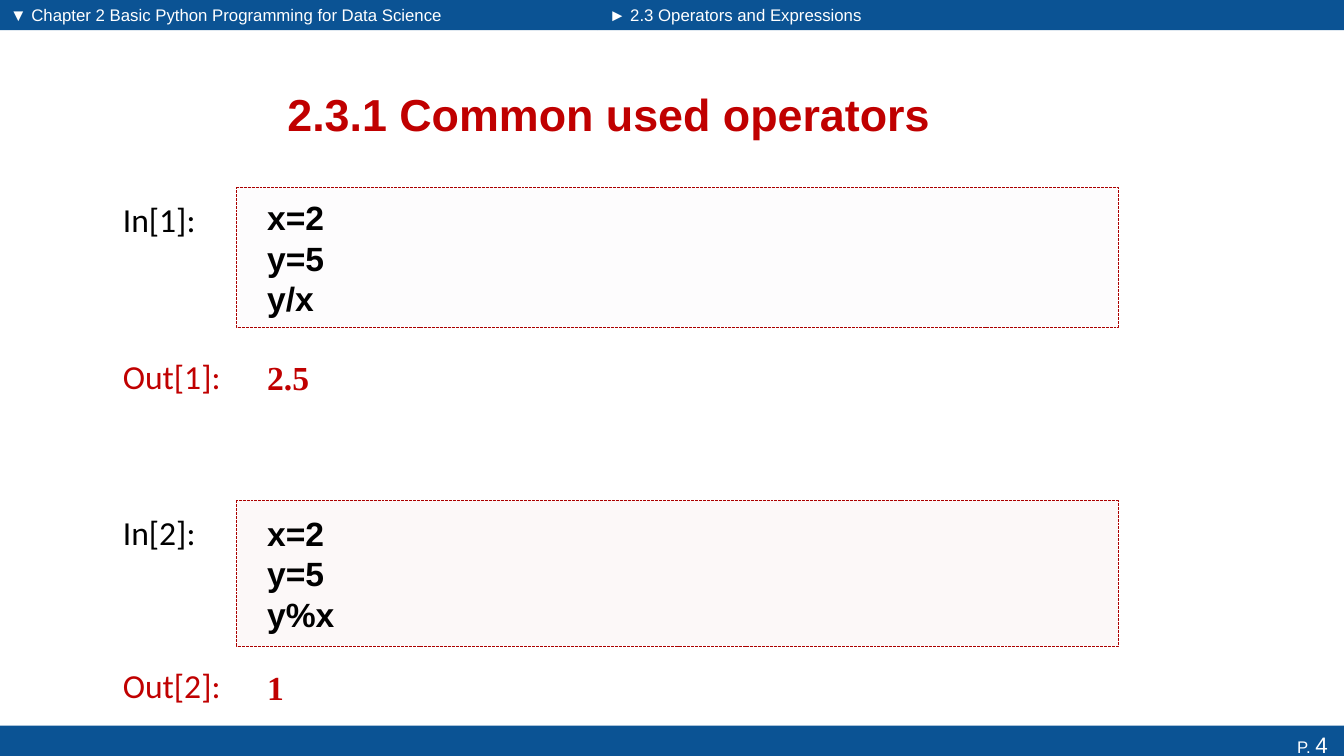
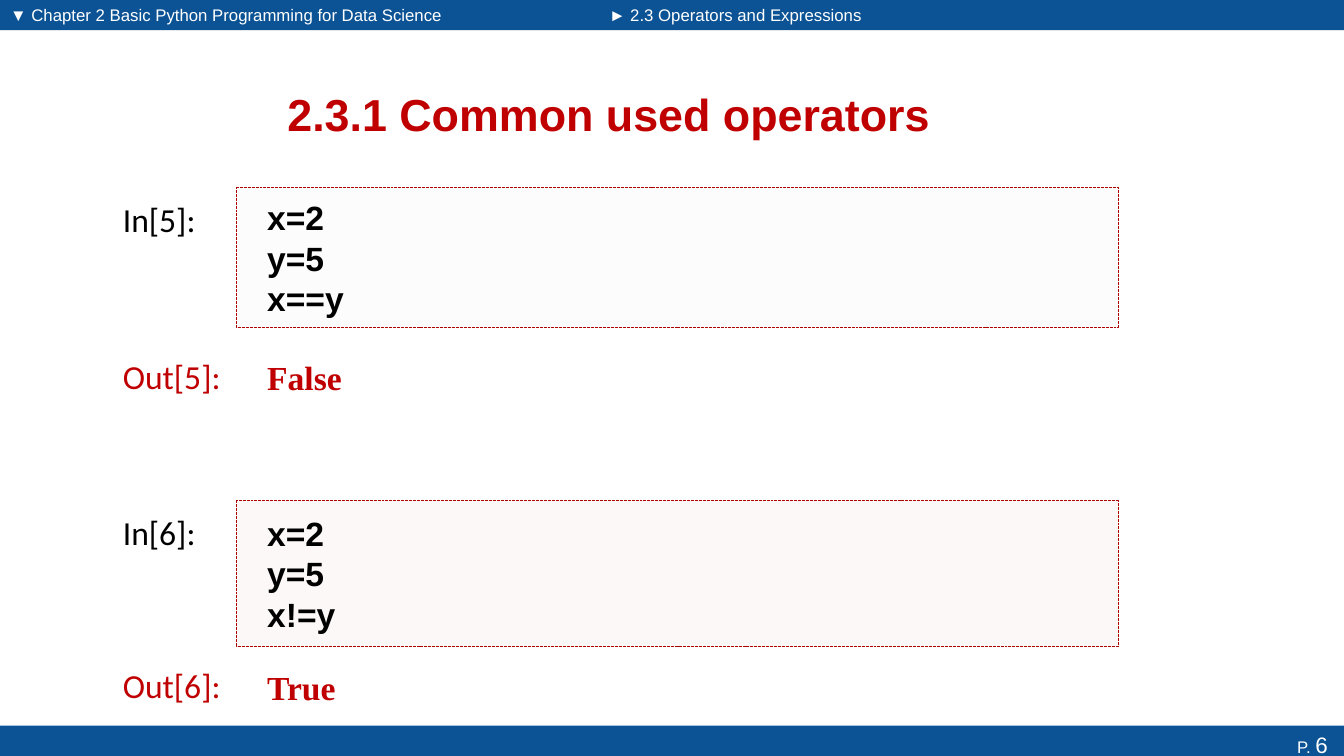
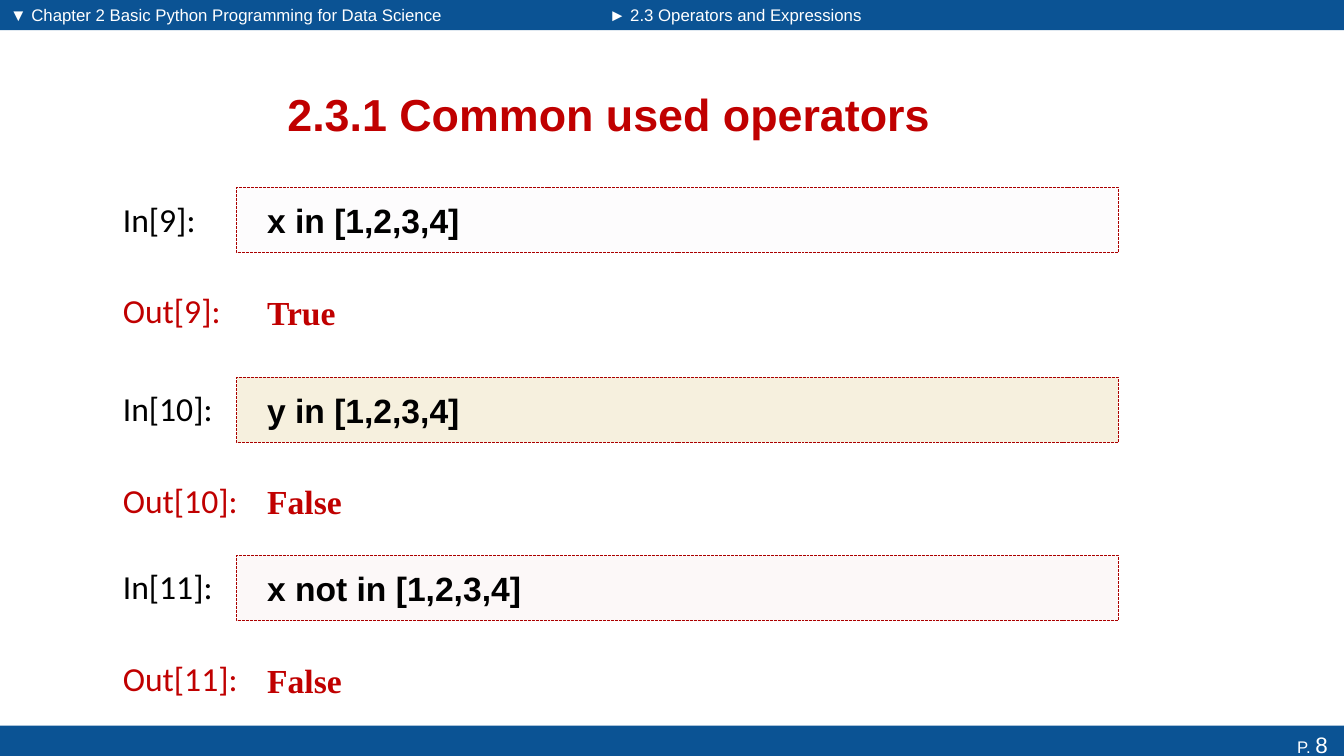
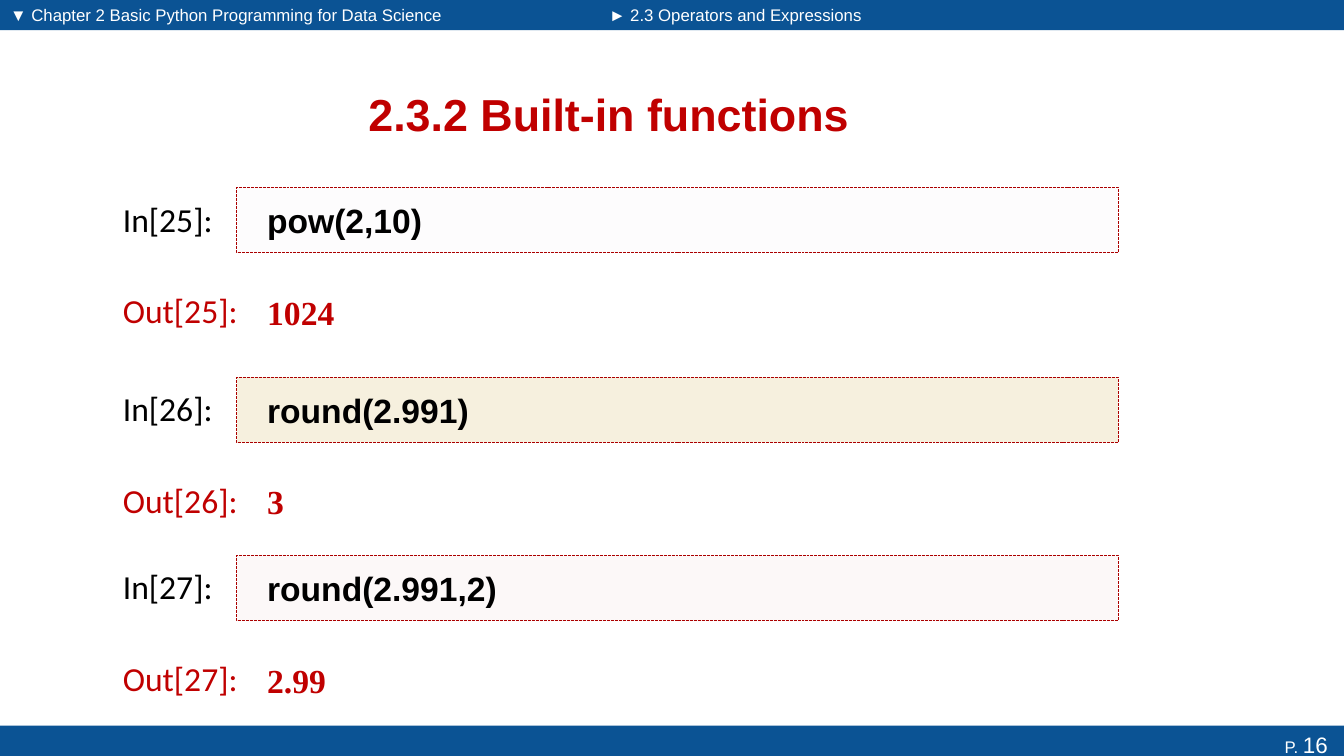
"""Build four slides of Python operator and function examples."""
from dataclasses import dataclass
from typing import NamedTuple

from lxml.etree import SubElement
from pptx import Presentation
from pptx.dml.color import RGBColor
from pptx.enum.dml import MSO_LINE
from pptx.enum.shapes import MSO_SHAPE
from pptx.enum.text import MSO_ANCHOR, MSO_AUTO_SIZE, PP_ALIGN
from pptx.oxml.ns import qn
from pptx.shapes.autoshape import Shape
from pptx.shapes.shapetree import GroupShapes
from pptx.slide import Slide, SlideLayout
from pptx.text.text import Font, TextFrame
from pptx.util import Inches, Pt

BLUE, RED, DASH_RED = "0B5394", "C00000", "AB0000"
BLACK, WHITE = "000000", "FFFFFF"
LILAC, GOLD, ROSE = "F1EEF4", "BF9000", "EDCDCB"
CHAPTER = "▼ Chapter 2 Basic Python Programming for Data Science"
SECTION = "► 2.3 Operators and Expressions"
OPERATORS = "2.3.1 Common used operators"
FUNCTIONS = "2.3.2 Built-in functions"
SLIDE_WIDTH, SECTION_LEFT, BAND_HEIGHT = 13.33, 5.93, 0.3
PROMPT_LEFT, PROMPT_DROP = 1.12, 0.06
CODE_LEFT, CODE_WIDTH, ROW_HEIGHT = 2.35, 8.74, 0.65


class Box(NamedTuple):
    """Left, top, width and height in inches."""
    left: float
    top: float
    width: float
    height: float


class Style(NamedTuple):
    """Typeface, size, colour and weight of a text."""
    face: str
    size: float
    colour: str
    bold: bool = False


class Slot(NamedTuple):
    """Place and tint of one code cell and its answer."""
    top: float
    height: float
    answer_top: float
    tint: str


class Cell(NamedTuple):
    """Code and the answer it gives."""
    code: str
    answer: str


@dataclass(frozen=True)
class Lesson:
    """Content of one slide."""
    title: str
    page: int
    first_number: int
    slots: list[Slot]
    cells: list[Cell]


TITLE_STYLE = Style("Arial", 32, RED, True)
BAND_STYLE = Style("Arial", 12, WHITE)
PAGE_STYLE = Style("Arial", 16, WHITE)
CODE_STYLE = Style("Arial", 24, BLACK, True)
ANSWER_STYLE = Style("Times New Roman", 24, RED, True)
IN_STYLE = Style("Calibri", 24, BLACK)
OUT_STYLE = Style("Calibri", 24, RED)

TWO_SLOTS = [Slot(1.86, 1.39, 3.42, LILAC), Slot(4.97, 1.44, 6.49, ROSE)]
THREE_SLOTS = [
    Slot(top, ROW_HEIGHT, top + 0.91, tint)
    for top, tint in ((1.86, LILAC), (3.74, GOLD), (5.51, ROSE))
]
LESSONS = [
    Lesson(OPERATORS, 4, 1, TWO_SLOTS,
           [Cell("x=2\ny=5\ny/x", "2.5"), Cell("x=2\ny=5\ny%x", "1")]),
    Lesson(OPERATORS, 6, 5, TWO_SLOTS,
           [Cell("x=2\ny=5\nx==y", "False"), Cell("x=2\ny=5\nx!=y", "True")]),
    Lesson(OPERATORS, 8, 9, THREE_SLOTS,
           [Cell("x in [1,2,3,4]", "True"), Cell("y in [1,2,3,4]", "False"),
            Cell("x not in [1,2,3,4]", "False")]),
    Lesson(FUNCTIONS, 16, 25, THREE_SLOTS,
           [Cell("pow(2,10)", "1024"), Cell("round(2.991)", "3"),
            Cell("round(2.991,2)", "2.99")]),
]


def rgb(colour: str) -> RGBColor:
    """Turn a hex string into a colour."""
    return RGBColor.from_string(colour)


def inches(box: Box) -> list[Inches]:
    """Turn a box into lengths."""
    return [Inches(length) for length in box]


def set_font(font: Font, style: Style) -> None:
    """Give a font its style."""
    font.name, font.size, font.bold = style.face, Pt(style.size), style.bold
    font.color.rgb = rgb(style.colour)


def write(frame: TextFrame, text: str, style: Style,
          align: PP_ALIGN = PP_ALIGN.LEFT) -> None:
    """Fill a frame with one paragraph per line of text."""
    frame.text = text
    frame.auto_size = MSO_AUTO_SIZE.NONE
    for paragraph in frame.paragraphs:
        paragraph.alignment = align
        set_font(paragraph.font, style)


def add_rectangle(shapes: GroupShapes, box: Box, colour: str) -> Shape:
    """Draw a plain rectangle without line or shadow."""
    rectangle = shapes.add_shape(MSO_SHAPE.RECTANGLE, *inches(box))
    rectangle.shadow.inherit = False
    rectangle.fill.solid()
    rectangle.fill.fore_color.rgb = rgb(colour)
    rectangle.line.fill.background()
    return rectangle


def write_row(frame: TextFrame, text: str, style: Style) -> None:
    """Write code or an answer, indented and centred in height."""
    write(frame, text, style)
    frame.word_wrap = True
    frame.vertical_anchor = MSO_ANCHOR.MIDDLE
    frame.margin_left = Inches(0.3)


def add_prompt(shapes: GroupShapes, text: str, row_top: float,
               width: float, style: Style) -> None:
    """Write the prompt at the left of a row."""
    box = Box(PROMPT_LEFT, row_top + PROMPT_DROP, width, 0.5)
    prompt = shapes.add_textbox(*inches(box))
    write(prompt.text_frame, text, style)


def add_cell(slide: Slide, number: int, slot: Slot, cell: Cell) -> None:
    """Draw a numbered code cell with its answer as one group."""
    shapes = slide.shapes.add_group_shape().shapes
    add_prompt(shapes, f"In[{number}]:", slot.top, 1.11, IN_STYLE)
    code = add_rectangle(
        shapes, Box(CODE_LEFT, slot.top, CODE_WIDTH, slot.height), slot.tint)
    tint = code.element.find(f".//{qn('a:solidFill')}/{qn('a:srgbClr')}")
    SubElement(tint, qn("a:alpha")).set("val", "13000")
    code.line.color.rgb = rgb(DASH_RED)
    code.line.width = Pt(0.7)
    code.line.dash_style = MSO_LINE.SQUARE_DOT
    write_row(code.text_frame, cell.code, CODE_STYLE)
    add_prompt(shapes, f"Out[{number}]:", slot.answer_top, 1.35, OUT_STYLE)
    answer = shapes.add_textbox(
        *inches(Box(CODE_LEFT, slot.answer_top, CODE_WIDTH, ROW_HEIGHT)))
    write_row(answer.text_frame, cell.answer, ANSWER_STYLE)


def add_footer(slide: Slide, page: int) -> None:
    """Draw the bottom band with the page number."""
    footer = add_rectangle(slide.shapes, Box(0, 7.2, SLIDE_WIDTH, 0.37), BLUE)
    write(footer.text_frame, "P. ", BAND_STYLE, PP_ALIGN.RIGHT)
    footer.text_frame.vertical_anchor = MSO_ANCHOR.TOP
    page_number = footer.text_frame.paragraphs[0].add_run()
    page_number.text = f"{page} "
    set_font(page_number.font, PAGE_STYLE)


def write_heading(heading: Shape, text: str, box: Box) -> None:
    """Place and write a heading of the top band."""
    heading.left, heading.top, heading.width, heading.height = inches(box)
    write(heading.text_frame, text, BAND_STYLE)
    heading.text_frame.vertical_anchor = MSO_ANCHOR.TOP
    paragraph = heading.text_frame.paragraphs[0]
    paragraph.space_before = Pt(2.4)
    properties = paragraph.font._element.getparent()
    properties.set("marL", str(Inches(0.38)))
    properties.set("indent", str(Inches(-0.38)))
    bullet = properties.makeelement(qn("a:buNone"), {})
    properties.find(qn("a:defRPr")).addprevious(bullet)


def add_lesson(slide: Slide, lesson: Lesson) -> None:
    """Fill one slide."""
    title, chapter, section = slide.placeholders
    title.left, title.top, title.width, title.height = inches(
        Box(0.68, 0.68, 10.72, 0.9))
    write(title.text_frame, lesson.title, TITLE_STYLE, PP_ALIGN.CENTER)
    title.text_frame.vertical_anchor = MSO_ANCHOR.MIDDLE
    write_heading(chapter, CHAPTER, Box(0, 0, 4.83, 0.29))
    write_heading(section, SECTION, Box(5.94, 0, 2.78, 0.29))
    add_footer(slide, lesson.page)
    for number, (slot, cell) in enumerate(
            zip(lesson.slots, lesson.cells), lesson.first_number):
        add_cell(slide, number, slot, cell)


def add_top_bands(slide: Slide, layout: SlideLayout) -> None:
    """Draw the top bands and move them to the back of the layout."""
    section_width = SLIDE_WIDTH - SECTION_LEFT
    for left, width in ((0, SECTION_LEFT), (SECTION_LEFT, section_width)):
        band = add_rectangle(
            slide.shapes, Box(left, 0, width, BAND_HEIGHT), BLUE)
        layout.shapes.element.insert(2, band.element)


def main() -> None:
    """Build and save the presentation."""
    presentation = Presentation()
    presentation.slide_width = Inches(SLIDE_WIDTH)
    presentation.slide_height = Inches(7.5)
    layout = presentation.slide_layouts.get_by_name("Two Content")
    for lesson in LESSONS:
        add_lesson(presentation.slides.add_slide(layout), lesson)
    add_top_bands(presentation.slides[0], layout)
    presentation.save("out.pptx")


if __name__ == "__main__":
    main()
